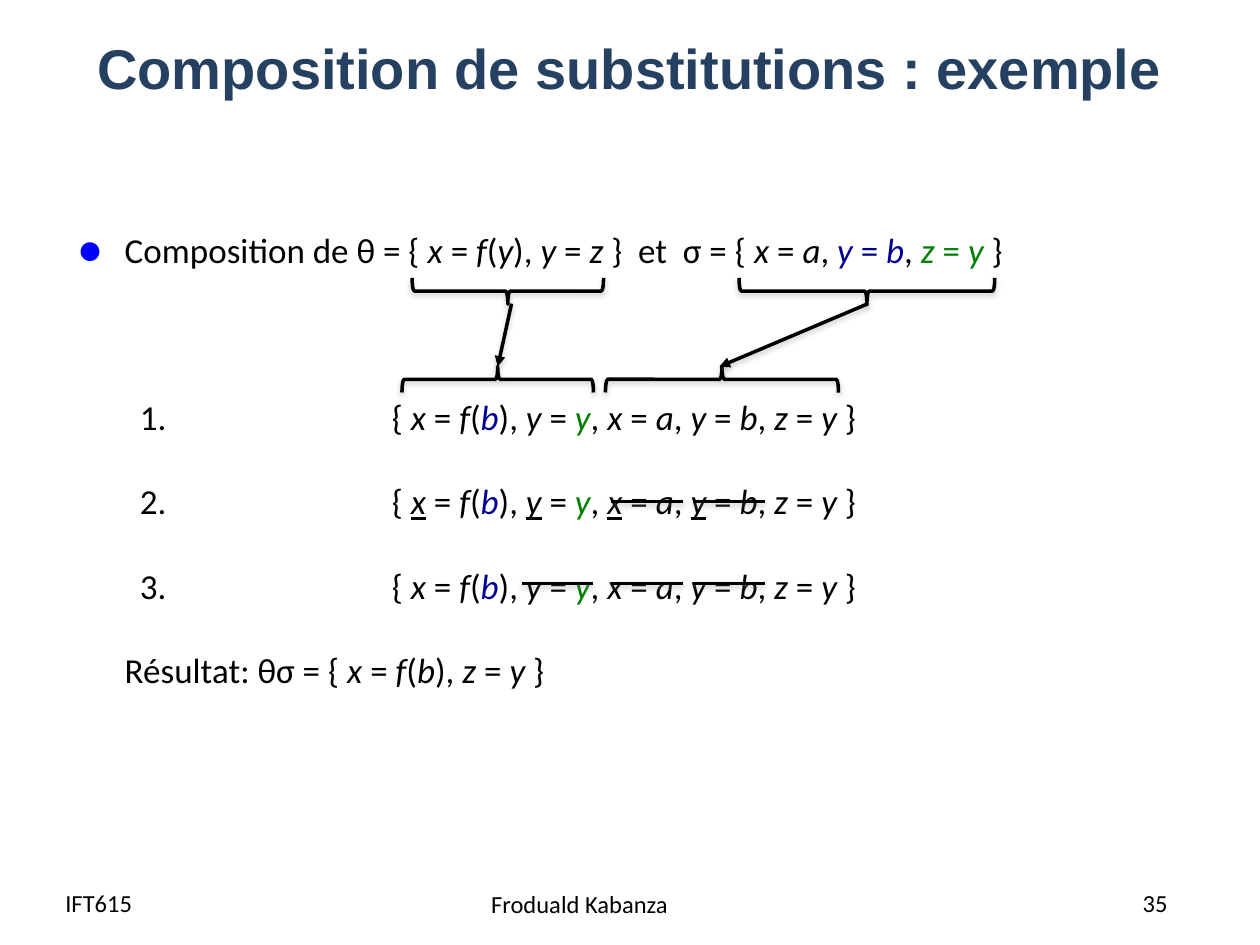
"""Build the slide on composing substitutions."""
from dataclasses import dataclass
from itertools import groupby

import lxml.etree
import pptx
import pptx.dml.color
import pptx.enum.shapes
import pptx.enum.text
import pptx.oxml.ns
import pptx.util

Inches, Pt = pptx.util.Inches, pptx.util.Pt
HUES = {"title": "254061", "ink": "000000", "navy": "000090",
        "green": "008000", "dot": "0000FF", "shade": "808080"}
MARKS = {"^": "navy", "~": "green", "*": "ink"}


@dataclass
class Row:
    """A text line: ^ ~ * switch colour, _ underlines the next letter."""
    text: str
    gap: float = 24.2
    left: float = 0
    hang: float = 0
    dot: bool = False


@dataclass
class Brace:
    """A horizontal brace, given by its centre, span and turn."""
    x: float
    y: float
    span: float
    turn: int


@dataclass
class Stroke:
    """A straight line, with or without an arrowhead."""
    x1: float
    y1: float
    x2: float
    y2: float
    head: bool = False


@dataclass
class Note:
    """A short text at the foot of the slide."""
    text: str
    x: float
    y: float
    wide: float
    high: float


ROWS = [
    Row("Composition de θ = { x = f(y), y = z }  et  σ = { x = a, ^y = b*, ~z = y *}",
        gap=0, left=0.38, hang=-0.38, dot=True),
    Row("\t1.\t\t\t\t{ x = f(^b*), y = ~y*, x = a, y = b, z = y }", gap=71.6),
    Row("\t2.\t\t\t\t{ _x = f(^b*), _y = ~y*, _x = a, _y = b, z = y }"),
    Row("\t3.\t\t\t\t{ x = f(^b*), y = ~y*, x = a, y = b, z = y }"),
    Row("Résultat: θσ = { x = f(b), z = y }", left=0.38),
]
BRACES = [Brace(3.95, 3.01, 1.52, 270), Brace(5.73, 3.01, 1.85, 270),
          Brace(4.03, 2.31, 1.52, 90), Brace(6.88, 2.31, 2.03, 90)]
ARROWS = [Stroke(4.06, 2.41, 3.95, 2.91, True), Stroke(6.89, 2.41, 5.71, 2.91, True)]
STRIKES = [Stroke(x, y, x + 0.57, y)
           for y, starts in ((3.98, (4.85, 5.5)), (4.63, (4.14, 4.85, 5.5)))
           for x in starts]
NOTES = [Note("IFT615", 0.42, 7, 0.75, 0.26),
         Note("Froduald Kabanza", 3.8, 7.01, 2.54, 0.29),
         Note("35", 8.97, 7, 0.53, 0.3)]


def tint(key: str) -> pptx.dml.color.RGBColor:
    """Look up a colour."""
    return pptx.dml.color.RGBColor.from_string(HUES[key])


def apply(thing, looks: dict) -> None:
    """Set each attribute from its value."""
    for key, value in looks.items():
        setattr(thing, key, value)


def add(base, tag: str, **attrs):
    """Append a drawing element."""
    return lxml.etree.SubElement(base, pptx.oxml.ns.qn("a:" + tag), attrs)


def write(para, text: str, hue: str = "ink", **looks) -> None:
    """Add one run of text."""
    run = para.add_run()
    run.text = text
    apply(run.font, looks)
    run.font.color.rgb = tint(hue)


def scan(text: str):
    """Yield each letter with its colour, slant and underline."""
    hue, inside, under = "ink", False, False
    for char in text:
        if char in MARKS:
            hue = MARKS[char]
        elif char == "_":
            under = True
        else:
            inside = char == "{" or (inside and char != "}")
            yield char, (hue, inside and char.isalpha(), under)
            under = False


def draw_row(para, row: Row) -> None:
    """Format a body line and fill it with styled runs."""
    apply(para, {"space_before": Pt(row.gap), "line_spacing": 1.0})
    props = para._p.get_or_add_pPr()
    props.set("marL", str(Inches(row.left)))
    props.set("indent", str(Inches(row.hang)))
    if row.dot:
        add(add(props, "buClr"), "srgbClr", val=HUES["dot"])
        add(props, "buSzPct", val="125000")
        add(props, "buFont", typeface="Arial")
        add(props, "buChar", char="●")
    else:
        add(props, "buNone")
    for (hue, slant, under), chunk in groupby(scan(row.text), key=lambda pair: pair[1]):
        write(para, "".join(char for char, _ in chunk), hue, name="Calibri",
              size=Pt(20), italic=slant, underline=under)


def ink(shape, head: bool = False) -> None:
    """Give a shape its line, arrowhead and soft shadow."""
    shape.line.color.rgb = tint("ink")
    shape.line.width = Pt(2)
    if head:
        add(shape.line._get_or_add_ln(), "tailEnd", type="triangle")
    cast = add(add(shape._element.spPr, "effectLst"), "outerShdw", blurRad=str(Pt(3.1)),
               dist=str(Pt(1.6)), dir="5400000", rotWithShape="0")
    add(add(cast, "srgbClr", val=HUES["shade"]), "alpha", val="38000")


def draw_brace(slide, brace: Brace) -> None:
    """Draw a brace turned on its side."""
    deep = 0.21
    shape = slide.shapes.add_shape(
        pptx.enum.shapes.MSO_SHAPE.RIGHT_BRACE, Inches(brace.x - deep / 2),
        Inches(brace.y - brace.span / 2), Inches(deep), Inches(brace.span))
    shape.rotation = brace.turn
    shape.fill.background()
    ink(shape)


def draw_stroke(slide, stroke: Stroke) -> None:
    """Draw a straight line."""
    ends = map(Inches, (stroke.x1, stroke.y1, stroke.x2, stroke.y2))
    line = slide.shapes.add_connector(pptx.enum.shapes.MSO_CONNECTOR.STRAIGHT, *ends)
    ink(line, stroke.head)


def draw_note(slide, note: Note) -> None:
    """Draw a footer text."""
    box = slide.shapes.add_textbox(*map(Inches, (note.x, note.y, note.wide, note.high)))
    box.text_frame.word_wrap = True
    write(box.text_frame.paragraphs[0], note.text, name="Calibri", size=Pt(14))


def place(shape, left: float, top: float, wide: float, high: float, **looks):
    """Move a placeholder and return its text frame."""
    apply(shape, {"left": Inches(left), "top": Inches(top),
                  "width": Inches(wide), "height": Inches(high)})
    apply(shape.text_frame, {"auto_size": pptx.enum.text.MSO_AUTO_SIZE.NONE,
                             "word_wrap": True, **looks})
    return shape.text_frame


def main() -> None:
    """Build and save the deck."""
    deck = pptx.Presentation()
    apply(deck, {"slide_width": Inches(10), "slide_height": Inches(7.5)})
    slide = deck.slides.add_slide(deck.slide_layouts[1])
    title = place(slide.shapes.title, 0.5, 0.2, 9, 0.66,
                  vertical_anchor=pptx.enum.text.MSO_ANCHOR.MIDDLE)
    title.paragraphs[0].alignment = pptx.enum.text.PP_ALIGN.CENTER
    write(title.paragraphs[0], "Composition de substitutions : exemple", "title",
          name="Arial", size=Pt(32), bold=True)
    body = place(slide.placeholders[1], 0.51, 1.76, 9.07, 5.25)
    for spot, row in enumerate(ROWS):
        draw_row(body.add_paragraph() if spot else body.paragraphs[0], row)
    for draw, items in ((draw_note, NOTES), (draw_brace, BRACES),
                        (draw_stroke, ARROWS + STRIKES)):
        for item in items:
            draw(slide, item)
    deck.save("out.pptx")


if __name__ == "__main__":
    main()
